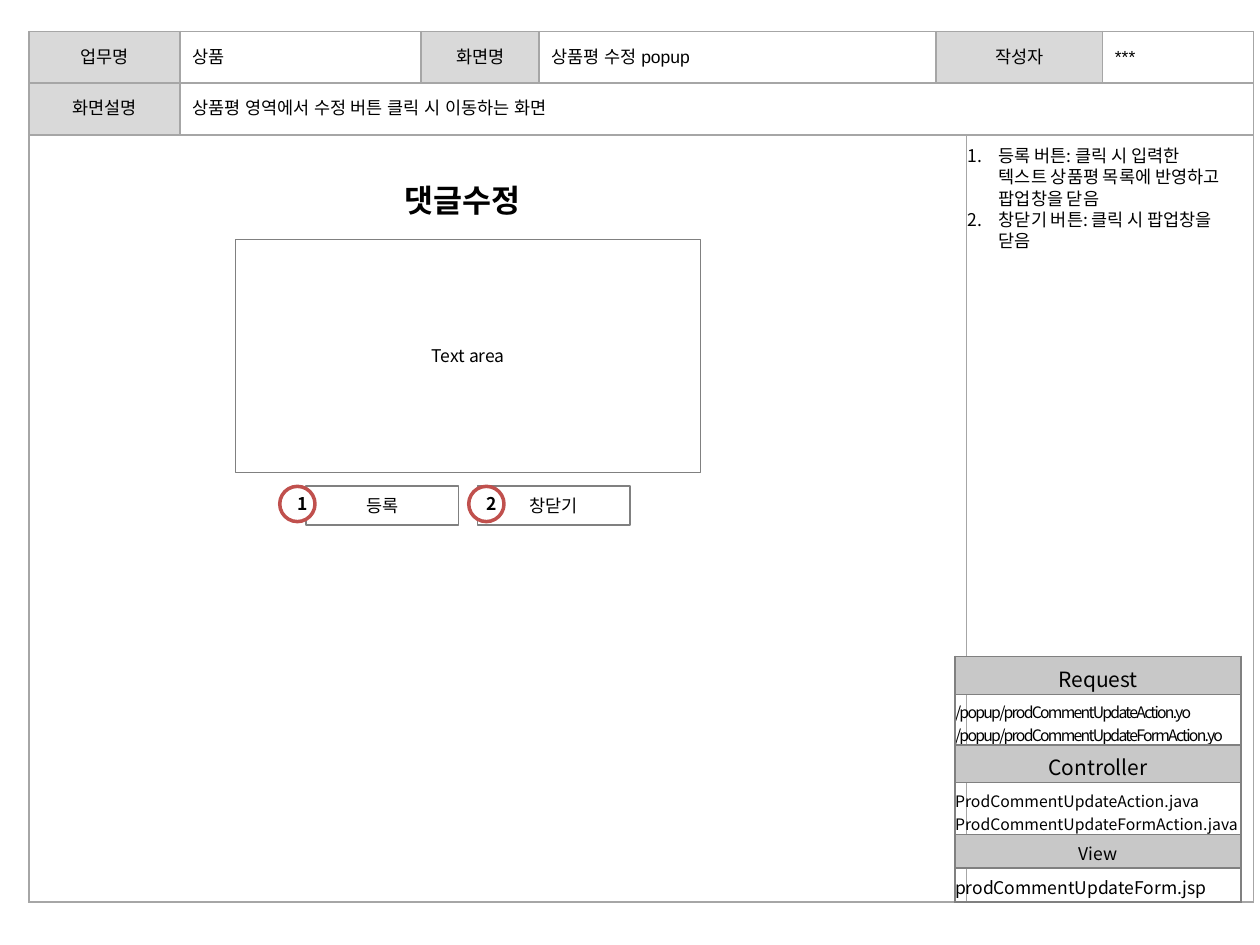
import pptx
import pptx.dml.color
import pptx.enum.shapes
import pptx.enum.text
import pptx.oxml.ns
import pptx.util
from lxml import etree

Pt = pptx.util.Pt
ALIGN = pptx.enum.text.PP_ALIGN
MIDDLE = pptx.enum.text.MSO_ANCHOR.MIDDLE
SHAPES = pptx.enum.shapes.MSO_SHAPE
COLORS = {
    "text": "000000", "paper": "FFFFFF", "label": "D9D9D9", "heading": "C8C8C8",
    "frame": "A6A6A6", "outline": "808080", "marker": "C0504D",
}
SANS = "Noto Sans CJK KR"
COLUMNS, ROWS = 100, 75


def color(name):
    return pptx.dml.color.RGBColor.from_string(COLORS[name])


def add_element(parent, tag, **attributes):
    return etree.SubElement(parent, pptx.oxml.ns.qn(tag), **attributes)


class Wireframe:
    """Draws on one slide; lengths are columns and rows of a 100 x 75 grid."""

    def __init__(self, presentation):
        self.slide = presentation.slides.add_slide(presentation.slide_layouts[6])
        self.column = presentation.slide_width / COLUMNS
        self.row = presentation.slide_height / ROWS

    def place(self, left, top, width, height):
        return [round(length * unit) for length, unit in
                zip((left, top, width, height), (self.column, self.row) * 2)]

    def set_lines(self, frame, lines, align=ALIGN.LEFT, face=SANS, size=10,
                  bold=False, tracking=0):
        for index, line in enumerate(lines):
            paragraph = frame.add_paragraph() if index else frame.paragraphs[0]
            paragraph.alignment = align
            run = paragraph.add_run()
            run.text = line
            for name, value in {"name": face, "size": Pt(size), "bold": bold}.items():
                setattr(run.font, name, value)
            run.font.color.rgb = color("text")
            properties = run._r.get_or_add_rPr()
            add_element(properties, "a:ea", typeface=face)
            if tracking:
                properties.set("spc", str(tracking * 100))

    def text(self, box, lines, wrap=True, **style):
        frame = self.slide.shapes.add_textbox(*self.place(*box)).text_frame
        frame.word_wrap = wrap
        self.set_lines(frame, lines, **style)
        return frame

    def numbered(self, box, lines):
        frame = self.text(box, lines)
        indent = pptx.util.Inches(0.25)
        for paragraph in frame.paragraphs:
            paragraph.line_spacing = Pt(12.2)
            properties = paragraph._p.get_or_add_pPr()
            properties.set("marL", str(indent))
            properties.set("indent", str(-indent))
            add_element(properties, "a:buFont", typeface="+mj-lt")
            add_element(properties, "a:buAutoNum", type="arabicPeriod")

    def shape(self, kind, box, label, line="outline", weight=1, **style):
        shape = self.slide.shapes.add_shape(kind, *self.place(*box))
        shape.shadow.inherit = False
        shape.fill.solid()
        shape.fill.fore_color.rgb = color("paper")
        shape.line.color.rgb = color(line)
        shape.line.width = Pt(weight)
        shape.text_frame.vertical_anchor = MIDDLE
        self.set_lines(shape.text_frame, [label], align=ALIGN.CENTER, **style)

    def table(self, left, top, widths, heights, border):
        box = self.place(left, top, sum(widths), sum(heights))
        table = self.slide.shapes.add_table(len(heights), len(widths), *box).table
        table.first_row = table.horz_banding = False
        for column, width in zip(table.columns, widths):
            column.width = round(width * self.column)
        for row, height in zip(table.rows, heights):
            row.height = round(height * self.row)
        for cell in table.iter_cells():
            properties = cell._tc.get_or_add_tcPr()
            for side in ("a:lnL", "a:lnR", "a:lnT", "a:lnB"):
                edge = add_element(properties, side, w=str(Pt(1)))
                fill = add_element(edge, "a:solidFill")
                add_element(fill, "a:srgbClr", val=COLORS[border])
            cell.fill.background()
            cell.vertical_anchor = MIDDLE
        return table

    def cell(self, cell, lines, fill=None, **style):
        if fill:
            cell.fill.solid()
            cell.fill.fore_color.rgb = color(fill)
            style["align"] = ALIGN.CENTER
        self.set_lines(cell.text_frame, lines, **style)


def draw_frame(wireframe):
    table = wireframe.table(2.3, 2.5, [12, 19.1, 9.4, 31.5, 1.3, 10.8, 12],
                            [4.1, 4.1, 60.9], "frame")
    # The spare narrow columns line the header up with the notes panel below.
    table_header = ((0, 4, 5), (1, 1, 6), (2, 0, 4), (2, 5, 6))
    for row, first, last in table_header:
        table.cell(row, first).merge(table.cell(row, last))
    fields = [
        (0, 0, "업무명", 1, "상품"),
        (0, 2, "화면명", 3, "상품평 수정 popup"),
        (0, 4, "작성자", 6, "***"),
        (1, 0, "화면설명", 1, "상품평 영역에서 수정 버튼 클릭 시 이동하는 화면"),
    ]
    for row, label_column, label, value_column, value in fields:
        wireframe.cell(table.cell(row, label_column), [label], "label", face="Arial")
        wireframe.cell(table.cell(row, value_column), [value], face="Arial")
    for column in (0, 5):
        wireframe.cell(table.cell(2, column), [], "paper")


def draw_popup(wireframe):
    wireframe.text((31.1, 13.9, 12.1, 4), ["댓글수정"], wrap=False, size=18, bold=True)
    wireframe.shape(SHAPES.RECTANGLE, (18.7, 19, 36.9, 18.5), "Text area")
    for left, label in ((24.3, "등록"), (37.9, "창닫기")):
        wireframe.shape(SHAPES.RECTANGLE, (left, 38.6, 12.1, 3.1), label)
    for left, number in ((22.2, "1"), (37.2, "2")):
        wireframe.shape(SHAPES.OVAL, (left, 38.6, 2.8, 2.8), number,
                        line="marker", weight=2, bold=True)


def draw_sources(wireframe):
    sections = [
        ("Request", 12, ["/popup/prodCommentUpdateAction.yo "
                         "/popup/prodCommentUpdateFormAction.yo"],
         {"size": 9, "tracking": -1}),
        ("Controller", 12, ["ProdCommentUpdateAction.java",
                            "ProdCommentUpdateFormAction.java"], {"size": 9}),
        ("View", 10, ["prodCommentUpdateForm.jsp"], {"size": 10}),
    ]
    table = wireframe.table(75.8, 52.1, [22.7], [3, 4, 3, 4.1, 2.6, 2.7], "outline")
    for cell in table.iter_cells():
        cell.margin_left = cell.margin_right = 0
    for index, (heading, size, files, style) in enumerate(sections):
        wireframe.cell(table.cell(2 * index, 0), [heading], "heading", size=size)
        wireframe.cell(table.cell(2 * index + 1, 0), files, **style)


def main():
    presentation = pptx.Presentation()
    presentation.slide_width = pptx.util.Inches(10)
    presentation.slide_height = pptx.util.Inches(7.5)
    wireframe = Wireframe(presentation)
    draw_frame(wireframe)
    wireframe.numbered((75.8, 11, 22.7, 9.4), [
        "등록 버튼: 클릭 시 입력한 텍스트 상품평 목록에 반영하고 팝업창을 닫음",
        "창닫기 버튼: 클릭 시 팝업창을 닫음",
    ])
    draw_popup(wireframe)
    draw_sources(wireframe)
    presentation.save("out.pptx")


if __name__ == "__main__":
    main()
